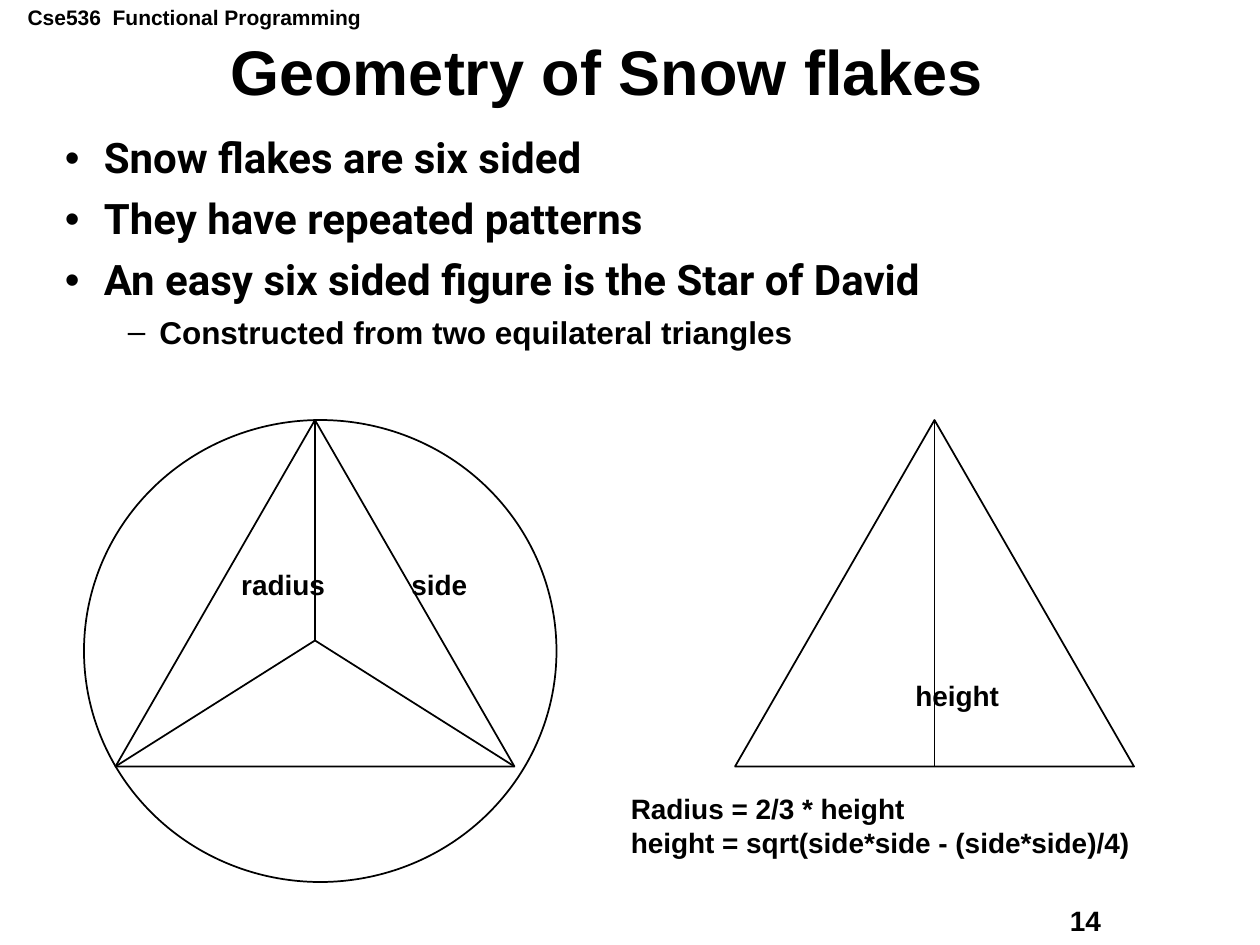
from dataclasses import dataclass

from lxml.etree import SubElement
from pptx import Presentation
from pptx.dml.color import RGBColor
from pptx.enum.shapes import MSO_CONNECTOR, MSO_SHAPE
from pptx.enum.text import MSO_ANCHOR, MSO_AUTO_SIZE, PP_ALIGN
from pptx.oxml.ns import qn
from pptx.util import Emu, Inches, Pt

COLS, ROWS = 120, 90
BLACK, WHITE = "000000", "FFFFFF"
APEX, CENTER, BASE = 40, 61, 73
SIDE = 38
LEFT, RIGHT = 11, 70

prs = Presentation()
prs.slide_width, prs.slide_height = Inches(10), Inches(7.5)
s = prs.slides.add_slide(prs.slide_layouts[6])


@dataclass
class Label:
    col: float
    row: float
    cols: float
    rows: float
    lines: tuple[str, ...]
    size: int = 16
    title: bool = False


@dataclass
class Bullet:
    text: str
    size: int = 24
    font: str = "Roboto"
    mark: str = "•"
    margin: float = 0.31
    hang: float = 0.31
    before: float = 9


def x(col: float) -> Emu:
    return Emu(round(prs.slide_width * col / COLS))


def y(row: float) -> Emu:
    return Emu(round(prs.slide_height * row / ROWS))


def rgb(value: str) -> RGBColor:
    return RGBColor.from_string(value)


def add_run(p, text: str, size: int, font: str = "Arial") -> None:
    r = p.add_run()
    r.text = text
    r.font.name, r.font.size, r.font.bold = font, Pt(size), True
    r.font.color.rgb = rgb(BLACK)


def add_label(label: Label) -> None:
    sp = s.shapes.add_textbox(x(label.col), y(label.row), x(label.cols), y(label.rows))
    tf = sp.text_frame
    tf.word_wrap = label.title
    tf.auto_size = MSO_AUTO_SIZE.NONE if label.title else MSO_AUTO_SIZE.SHAPE_TO_FIT_TEXT
    for i, line in enumerate(label.lines):
        p = tf.add_paragraph() if i else tf.paragraphs[0]
        if label.title:
            tf.vertical_anchor = MSO_ANCHOR.MIDDLE
            p.alignment, p.line_spacing = PP_ALIGN.CENTER, 0.9
        add_run(p, line, label.size)


def add_bullets(col: float, row: float, cols: float, rows: float, bullets: list[Bullet]) -> None:
    tf = s.shapes.add_textbox(x(col), y(row), x(cols), y(rows)).text_frame
    tf.word_wrap = True
    for i, b in enumerate(bullets):
        p = tf.add_paragraph() if i else tf.paragraphs[0]
        p.level = int(b.mark == "–")
        p.line_spacing = 0.9
        p.space_before = Pt(b.before if i else 0)
        pPr = p._p.get_or_add_pPr()
        pPr.set("marL", str(Inches(b.margin)))
        pPr.set("indent", str(-Inches(b.hang)))
        clr = SubElement(pPr, qn("a:buClr"))
        SubElement(clr, qn("a:srgbClr"), val=BLACK)
        SubElement(pPr, qn("a:buFont"), typeface="Arial")
        SubElement(pPr, qn("a:buChar"), char=b.mark)
        add_run(p, b.text, b.size, b.font)


def add_outline(kind: MSO_SHAPE, col: float, row: float, cols: float, rows: float) -> None:
    sp = s.shapes.add_shape(kind, x(col), y(row), x(cols), y(rows))
    sp.shadow.inherit = False
    sp.fill.solid()
    sp.fill.fore_color.rgb = rgb(WHITE)
    sp.line.color.rgb = rgb(BLACK)
    sp.line.width = Pt(1)


def add_line(col1: float, row1: float, col2: float, row2: float) -> None:
    ln = s.shapes.add_connector(MSO_CONNECTOR.STRAIGHT, x(col1), y(row1), x(col2), y(row2))
    SubElement(ln._element.spPr, qn("a:effectLst"))
    ln.line.color.rgb = rgb(BLACK)
    ln.line.width = Pt(1)


def add_triangle(col: float) -> None:
    add_outline(MSO_SHAPE.ISOSCELES_TRIANGLE, col, APEX, SIDE, BASE - APEX)


add_bullets(5, 12.5, 107, 24.5, [
    Bullet("Snow flakes are six sided"),
    Bullet("They have repeated patterns"),
    Bullet("An easy six sided figure is the Star of David"),
    Bullet("Constructed from two equilateral triangles", 18, "Arial", "–", 0.75, 0.25, 6.8),
])

add_outline(MSO_SHAPE.OVAL, 8, APEX, 45, 44)
add_triangle(LEFT)
middle = LEFT + SIDE / 2
for corner in ((middle, APEX), (LEFT, BASE), (LEFT + SIDE, BASE)):
    add_line(*corner, middle, CENTER)

add_triangle(RIGHT)
add_line(RIGHT + SIDE / 2, APEX, RIGHT + SIDE / 2, BASE)

for label in (
    Label(1.45, -0.15, 34.5, 3.6, ("Cse536  Functional Programming",), 12),
    Label(3.6, 3.75, 108.4, 6.75, ("Geometry of Snow flakes",), 36, True),
    Label(38, 53.45, 8, 4.4, ("side",)),
    Label(86, 64, 10.8, 4.4, ("height",)),
    Label(21.8, 53.45, 10.8, 4.4, ("radius",)),
    Label(58.9, 74.8, 50.2, 7.7, ("Radius = 2/3 * height", "height = sqrt(side*side - (side*side)/4)")),
    Label(100.7, 85.5, 15.2, 4.4, ("14",)),
):
    add_label(label)

prs.save("out.pptx")
